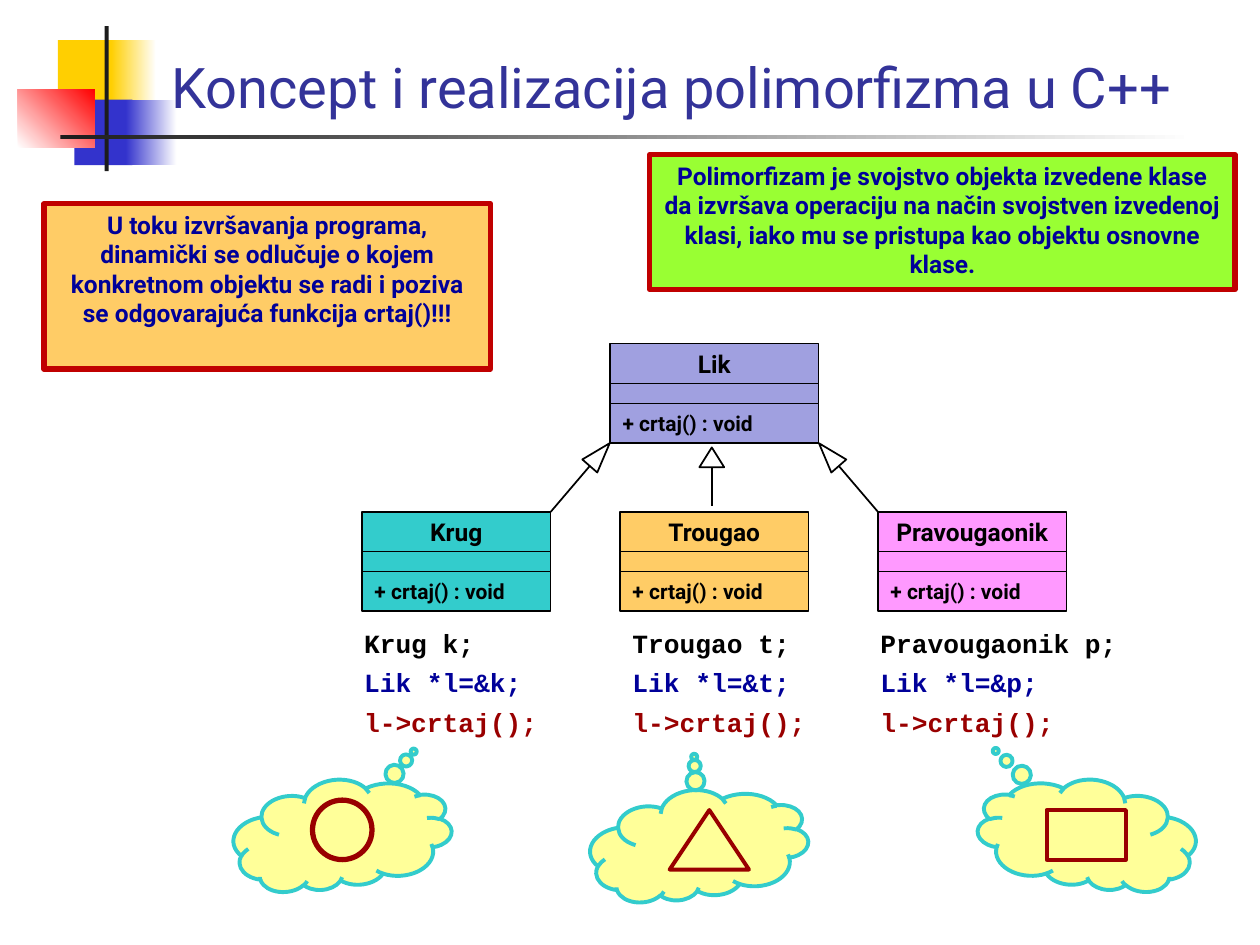
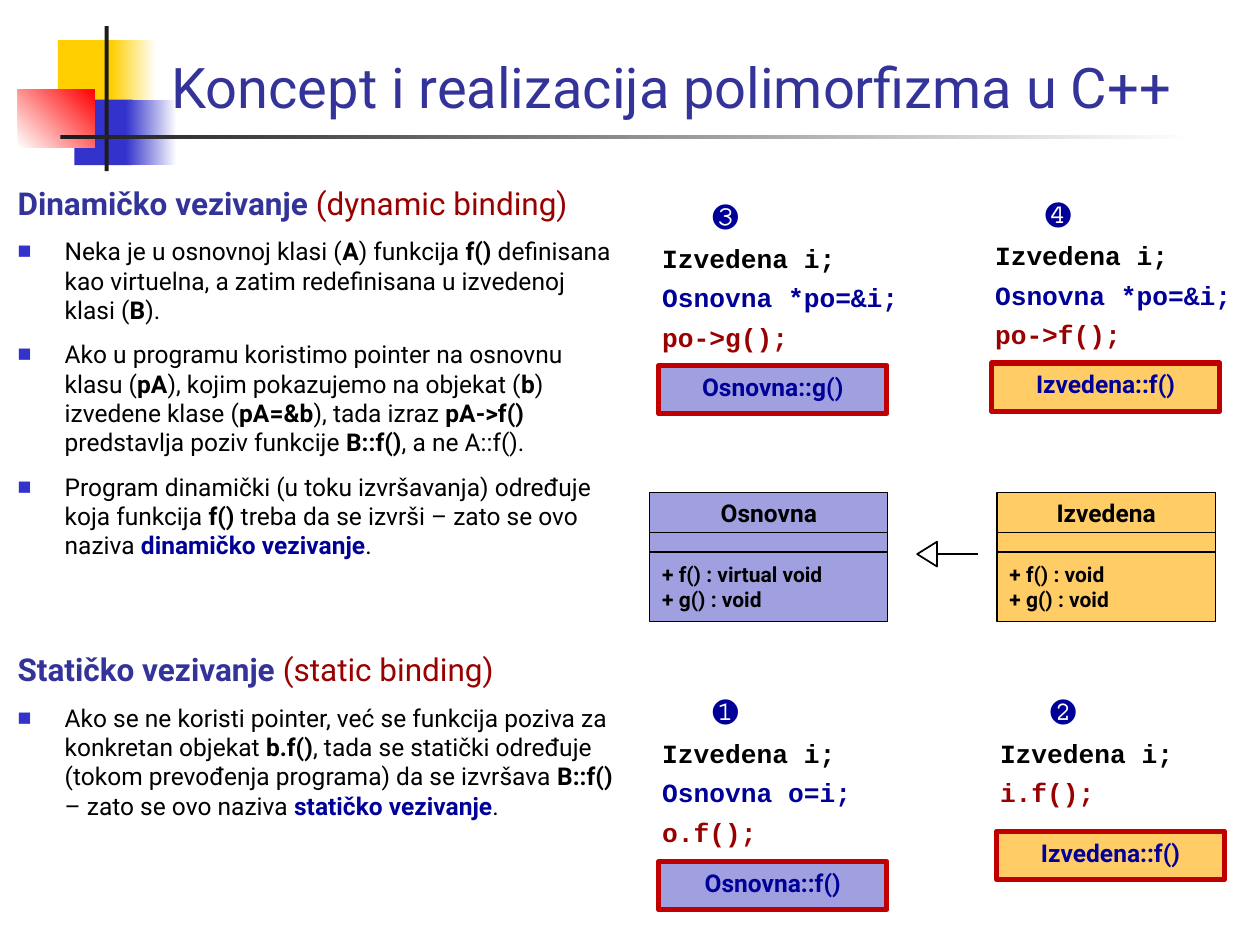
"""Builds two slides on polymorphism and binding in C++."""
from math import cos, radians, sin

from lxml import etree
from pptx import Presentation
from pptx.dml.color import RGBColor
from pptx.enum.shapes import MSO_CONNECTOR, MSO_SHAPE
from pptx.enum.text import MSO_ANCHOR, MSO_AUTO_SIZE, PP_ALIGN
from pptx.oxml.ns import qn
from pptx.util import Cm, Pt

RECTANGLE = MSO_SHAPE.RECTANGLE
TRIANGLE = MSO_SHAPE.ISOSCELES_TRIANGLE
OVAL = MSO_SHAPE.OVAL
CLOUD = MSO_SHAPE.CLOUD_CALLOUT
STRAIGHT = MSO_CONNECTOR.STRAIGHT
TOP, MIDDLE, BOTTOM = MSO_ANCHOR.TOP, MSO_ANCHOR.MIDDLE, MSO_ANCHOR.BOTTOM
LEFT, CENTER = PP_ALIGN.LEFT, PP_ALIGN.CENTER
FIXED = MSO_AUTO_SIZE.NONE

SANS, MONO = "Roboto", "Courier New"
BLACK, WHITE, CHARCOAL = "000000", "FFFFFF", "1C1C1C"
INDIGO, BLUE, NAVY = "333399", "3333CC", "000099"
RED, MAROON, FRAME = "FF0000", "990000", "C00000"
YELLOW, ORANGE, LILAC, LIME = "FFCF01", "FFCC66", "A0A0E0", "99FF33"
TEAL, PINK, CREAM = "33CCCC", "FF99FF", "FFFF99"

rgb = RGBColor.from_string


def add_box(slide, kind, place, fill=None, line=None, width=0.75):
    """Add a flat preset shape; place is left, top, width, height in cm."""
    shape = slide.shapes.add_shape(kind, *map(Cm, place))
    shape.shadow.inherit = False
    if fill:
        shape.fill.solid()
        shape.fill.fore_color.rgb = rgb(fill)
    else:
        shape.fill.background()
    if line:
        shape.line.color.rgb = rgb(line)
        shape.line.width = Pt(width)
    else:
        shape.line.fill.background()
    return shape


def write(frame, lines, colours, font, size, align, anchor, before=0):
    """Fill a frame with bold lines, one colour for each."""
    frame.text = "\n".join(lines)
    frame.word_wrap = True
    frame.vertical_anchor = anchor
    for paragraph, colour in zip(frame.paragraphs, colours):
        paragraph.alignment = align
        paragraph.space_before = Pt(before)
        for run in paragraph.runs:
            run.font.name, run.font.size, run.font.bold = font, Pt(size), True
            run.font.color.rgb = rgb(colour)


prs = Presentation()
prs.slide_width, prs.slide_height = Cm(25.4), Cm(19.05)
concept = prs.slides.add_slide(prs.slide_layouts[5])
binding = prs.slides.add_slide(prs.slide_layouts[3])

ornaments = [
    ((1.17, 0.81, 1.22, 1.32), YELLOW, YELLOW, 0),
    ((2.24, 0.81, 0.91, 1.32), YELLOW, WHITE, 0),
    ((1.5, 2.01, 1.17, 1.32), BLUE, BLUE, 0),
    ((2.54, 2.01, 1.02, 1.32), BLUE, WHITE, 0),
    ((0.36, 1.8, 1.55, 1.17), WHITE, RED, 45),
    ((2.11, 0.53, 0.08, 2.92), CHARCOAL, CHARCOAL, 0),
    ((1.22, 2.72, 22.86, 0.08), CHARCOAL, WHITE, 0),
]
master_tree = prs.slide_master.shapes.element
for position, (place, start, end, angle) in enumerate(ornaments, 2):
    ornament = add_box(concept, RECTANGLE, place, start)
    if start != end:
        ornament.fill.gradient()
        ornament.fill.gradient_angle = angle
        for stop, colour in zip(ornament.fill.gradient_stops, (start, end)):
            stop.color.rgb = rgb(colour)
    master_tree.insert(position, ornament.element)

for slide in (concept, binding):
    title = slide.shapes.title
    title.left, title.top, title.width, title.height = map(Cm, (3.2, 0.33, 22.2, 2.21))
    write(title.text_frame, ["Koncept i realizacija polimorfizma u C++"], [INDIGO],
          SANS, 32, LEFT, BOTTOM)
    title.text_frame.auto_size = FIXED
    title.text_frame.paragraphs[0].runs[0].font.bold = False

draw = ["+ crtaj() : void"]
classes = [
    (concept, "Lik", 12.3, 6.93, 4.2, LILAC, draw),
    (concept, "Krug", 7.3, 10.32, 3.8, TEAL, draw),
    (concept, "Trougao", 12.5, 10.32, 3.8, ORANGE, draw),
    (concept, "Pravougaonik", 17.7, 10.32, 3.8, PINK, draw),
    (binding, "Osnovna", 13.1, 9.93, 4.8, LILAC, ["+ f() : virtual void", "+ g() : void"]),
    (binding, "Izvedena", 20.1, 9.93, 4.4, ORANGE, ["+ f() : void", "+ g() : void"]),
]
for slide, name, left, top, width, fill, methods in classes:
    heading = add_box(slide, RECTANGLE, (left, top, width, 0.8), fill, BLACK)
    write(heading.text_frame, [name], [BLACK], SANS, 14, CENTER, MIDDLE)
    add_box(slide, RECTANGLE, (left, top + 0.8, width, 0.4), fill, BLACK)
    height = 0.2 + 0.6 * len(methods)
    operations = add_box(slide, RECTANGLE, (left, top + 1.2, width, height), fill, BLACK)
    write(operations.text_frame, methods, [BLACK] * len(methods), SANS, 12, LEFT, MIDDLE)

inheritance = [
    (concept, (11.89, 8.86, 0.4, 0.61), 41.1, (11.1, 10.32)),
    (concept, (14.1, 9.02, 0.5, 0.4), 0, (14.35, 10.21)),
    (concept, (16.51, 8.86, 0.4, 0.61), 318.9, (17.7, 10.32)),
    (binding, (18.44, 10.97, 0.5, 0.4), 270, (19.71, 11.17)),
]
for slide, place, angle, tail in inheritance:
    arrowhead = add_box(slide, TRIANGLE, place, line=BLACK, width=1)
    arrowhead.rotation = angle
    left, top, width, height = place
    base_x = left + width / 2 - height / 2 * sin(radians(angle))
    base_y = top + height / 2 + height / 2 * cos(radians(angle))
    stem = slide.shapes.add_connector(STRAIGHT, *map(Cm, (base_x, base_y, *tail)))
    stem.line.color.rgb = rgb(BLACK)
    stem.line.width = Pt(1)
    etree.SubElement(stem.element.spPr, qn("a:effectLst"))

snippets = [
    (concept, 7.09, 12.52, 4.2, "", ["Krug k;", "Lik *l=&k;", "l->crtaj();"]),
    (concept, 12.5, 12.52, 4.2, "", ["Trougao t;", "Lik *l=&t;", "l->crtaj();"]),
    (concept, 17.5, 12.52, 5.8, "", ["Pravougaonik p;", "Lik *l=&p;", "l->crtaj();"]),
    (binding, 13.1, 13.56, 5.6, "❶", ["Izvedena i;", "Osnovna o=i;", "o.f();"]),
    (binding, 19.91, 13.56, 4.8, "❷", ["Izvedena i;", "i.f();"]),
    (binding, 13.1, 3.58, 5.6, "❸", ["Izvedena i;", "Osnovna *po=&i;", "po->g();"]),
    (binding, 19.81, 3.53, 5.44, "❹", ["Izvedena i;", "Osnovna *po=&i;", "po->f();"]),
]
for slide, left, top, width, number, code in snippets:
    colours = [BLACK, NAVY][:len(code) - 1] + [MAROON]
    if number:
        code, colours = [number] + code, [NAVY] + colours
    snippet = slide.shapes.add_textbox(*map(Cm, (left, top, width, len(code))))
    write(snippet.text_frame, code, colours, MONO, 15, LEFT, TOP, 4.5)
    if number:
        badge = snippet.text_frame.paragraphs[0]
        badge.space_before = Pt(7.2)
        badge.runs[0].font.size = Pt(24)
        badge.runs[0].font.bold = False
        badge._p.get_or_add_pPr().set("marL", str(Cm(1.02)))

callouts = [
    (concept, (13.1, 3.12, 11.8, 2.72), LIME,
     "Polimorfizam je svojstvo objekta izvedene klase da izvršava operaciju na način "
     "svojstven izvedenoj klasi, iako mu se pristupa kao objektu osnovne klase."),
    (concept, (0.89, 4.11, 9, 3.33), ORANGE,
     "U toku izvršavanja programa, dinamički se odlučuje o kojem konkretnom objektu "
     "se radi i poziva se odgovarajuća funkcija crtaj()!!!"),
    (binding, (13.28, 17.37, 4.6, 0.97), LILAC, "Osnovna::f()"),
    (binding, (20.09, 16.76, 4.6, 0.97), ORANGE, "Izvedena::f()"),
    (binding, (13.28, 7.37, 4.6, 0.97), LILAC, "Osnovna::g()"),
    (binding, (19.99, 7.32, 4.6, 0.97), ORANGE, "Izvedena::f()"),
]
for slide, place, fill, message in callouts:
    callout = add_box(slide, RECTANGLE, place, fill, FRAME, 3)
    write(callout.text_frame, [message], [NAVY], SANS, 14, CENTER, TOP)

thoughts = [
    (4.7, 15.72, 176.7, (-0.348, 0.72), OVAL, (6.3, 16.13, 1.2, 1.2), 3),
    (11.89, 15.93, 176.7, (-0.001, 0.808), TRIANGLE, (13.5, 16.33, 1.6, 1.2), 2.25),
    (19.71, 15.72, 183.3, (-0.439, 0.715), RECTANGLE, (21.1, 16.33, 1.6, 1), 2.25),
]
for left, top, angle, pointer, figure, place, width in thoughts:
    cloud = add_box(concept, CLOUD, (left, top, 4.4, 2.2), CREAM, TEAL, 2.25)
    cloud.adjustments[0], cloud.adjustments[1] = pointer
    cloud.rotation = angle
    if angle > 180:
        cloud.element.spPr.find(qn("a:xfrm")).set("flipH", "1")
    add_box(concept, figure, place, line=MAROON, width=width)

# Bars enclose the bold parts of each paragraph.
explanations = [
    (1, 3.73, 8.41, [
        "|Dinamičko vezivanje |(dynamic binding)",
        "Neka je u osnovnoj klasi (|A|) funkcija |f()| definisana kao virtuelna, "
        "a zatim redefinisana u izvedenoj klasi (|B|).",
        "Ako u programu koristimo pointer na osnovnu klasu (|pA|), kojim pokazujemo na "
        "objekat (|b|) izvedene klase (|pA=&b|), tada izraz |pA->f()| predstavlja poziv "
        "funkcije |B::f()|, a ne A::f().",
        "Program dinamički (u toku izvršavanja) određuje koja funkcija |f() |treba da se "
        "izvrši – zato se ovo naziva |dinamičko vezivanje|."]),
    (2, 13.13, 4.39, [
        "|Statičko vezivanje |(static binding)",
        "Ako se ne koristi pointer, već se funkcija poziva za konkretan objekat |b.f()|, "
        "tada se statički određuje (tokom prevođenja programa) da se izvršava |B::f()| – "
        "zato se ovo naziva |statičko vezivanje|."]),
]
for index, top, height, paragraphs in explanations:
    body = binding.placeholders[index]
    body.left, body.top, body.width, body.height = map(Cm, (0.1, top, 12.6, height))
    frame = body.text_frame
    frame.auto_size = FIXED
    for order, marked in enumerate(paragraphs):
        paragraph = frame.add_paragraph() if order else frame.paragraphs[0]
        paragraph.space_before = Pt(8.4 if order else 4.3)
        paragraph.line_spacing = 1.0 if order else 0.8
        properties = paragraph._p.get_or_add_pPr()
        properties.set("marL", str(Cm(0.95)))
        properties.set("indent", str(Cm(-0.95)))
        if order:
            bullet_colour = etree.SubElement(properties, qn("a:buClr"))
            etree.SubElement(bullet_colour, qn("a:srgbClr"), val=BLUE)
            etree.SubElement(properties, qn("a:buSzPct"), val="60000")
            etree.SubElement(properties, qn("a:buFont"), typeface=SANS)
            etree.SubElement(properties, qn("a:buChar"), char="■")
        else:
            etree.SubElement(properties, qn("a:buNone"))
        for part_number, part in enumerate(marked.split("|")):
            if not part:
                continue
            bold = part_number % 2 == 1
            if order:
                colour = NAVY if part.endswith("vezivanje") else BLACK
            else:
                colour = INDIGO if bold else MAROON
            run = paragraph.add_run()
            run.text = part
            run.font.name, run.font.bold = SANS, bold
            run.font.size = Pt(14 if order else 18)
            run.font.color.rgb = rgb(colour)

prs.save("out.pptx")
